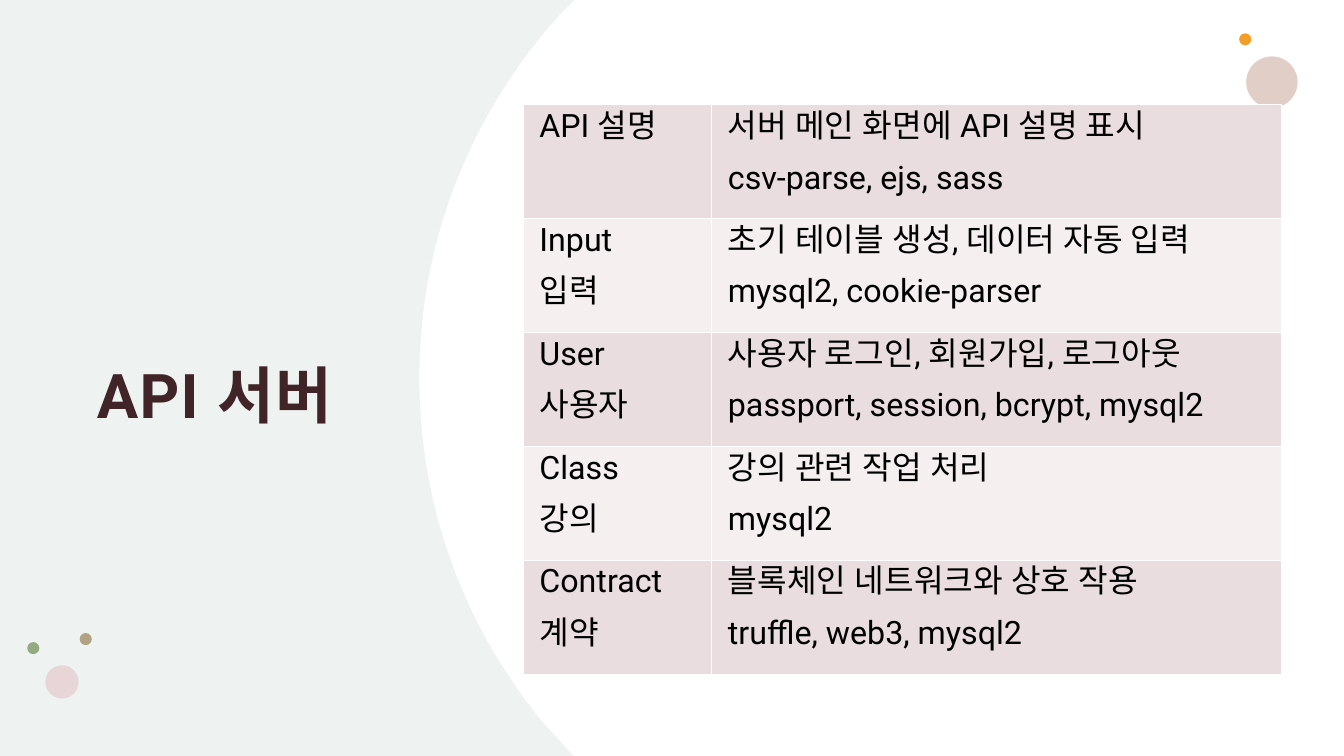
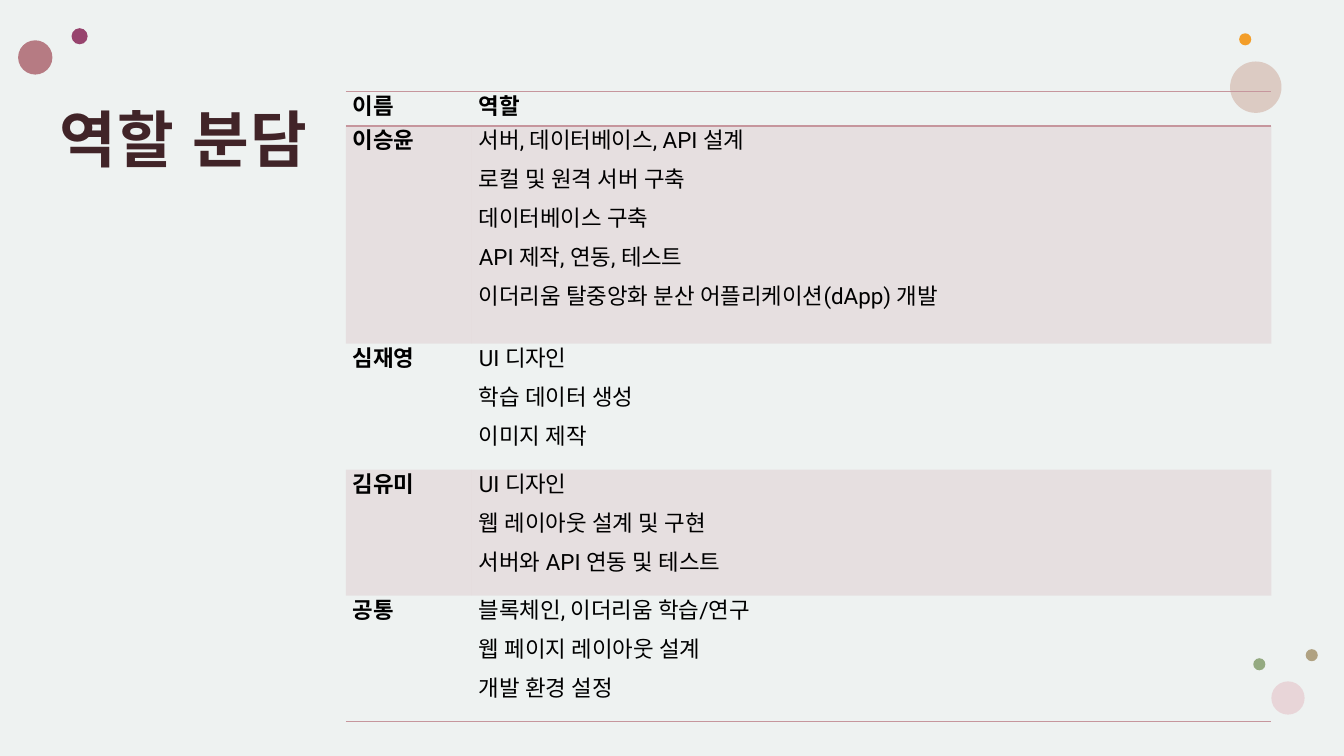
from lxml.etree import SubElement
from pptx import Presentation
from pptx.dml.color import RGBColor
from pptx.enum.shapes import MSO_SHAPE
from pptx.enum.text import MSO_ANCHOR, PP_ALIGN
from pptx.oxml import parse_xml
from pptx.oxml.ns import nsdecls, qn
from pptx.util import Pt

PX = 9144
WIDTH, HEIGHT = 1333, 750
FONT = "Roboto"

WHITE = RGBColor(0xFF, 0xFF, 0xFF)
BLACK = RGBColor(0x00, 0x00, 0x00)
SAGE = RGBColor(0xC8, 0xD4, 0xD2)
MAROON = RGBColor(0x41, 0x24, 0x28)
ROSE = RGBColor(0xC6, 0x96, 0x9D)
ROW_DARK = RGBColor(0xEA, 0xDD, 0xDF)
ROW_LIGHT = RGBColor(0xF5, 0xEF, 0xEF)
BEIGE = RGBColor(0xD6, 0xBC, 0xB2)
ORANGE = RGBColor(0xF3, 0x9E, 0x29)
TAN = RGBColor(0xB0, 0xA2, 0x82)
PINK = RGBColor(0xE8, 0xD5, 0xD8)
GREEN = RGBColor(0x94, 0xAA, 0x81)
PLUM = RGBColor(0x97, 0x44, 0x6E)
DUSTY_ROSE = RGBColor(0xB6, 0x7B, 0x83)

TITLE_FRAME = {
    "word_wrap": True,
    "margin_left": 12 * PX,
    "margin_right": 12 * PX,
    "margin_top": 12 * PX,
    "margin_bottom": 10 * PX,
}
CELL_PARAGRAPH = {"line_spacing": 1.07, "space_after": Pt(8)}

PANEL_CORNERS = [(WIDTH, 0), (WIDTH, HEIGHT), (569, HEIGHT), (539, 717)]
PANEL_CURVES = [
    (462, 624), (416, 505), (416, 375),
    (416, 236), (469, 110), (556, 14),
]

API_ROWS = [
    (["API 설명"], ["서버 메인 화면에 API 설명 표시", "csv-parse, ejs, sass"]),
    (["Input", "입력"], ["초기 테이블 생성, 데이터 자동 입력", "mysql2, cookie-parser"]),
    (["User", "사용자"], ["사용자 로그인, 회원가입, 로그아웃", "passport, session, bcrypt, mysql2"]),
    (["Class", "강의"], ["강의 관련 작업 처리", "mysql2"]),
    (["Contract", "계약"], ["블록체인 네트워크와 상호 작용", "truffle, web3, mysql2"]),
]
ROLE_ROWS = [
    (["이름"], ["역할"]),
    (["이승윤"], [
        "서버, 데이터베이스, API 설계",
        "로컬 및 원격 서버 구축",
        "데이터베이스 구축",
        "API 제작, 연동, 테스트",
        "이더리움 탈중앙화 분산 어플리케이션(dApp) 개발",
    ]),
    (["심재영"], ["UI 디자인", "학습 데이터 생성", "이미지 제작"]),
    (["김유미"], ["UI 디자인", "웹 레이아웃 설계 및 구현", "서버와 API 연동 및 테스트"]),
    (["공통"], ["블록체인, 이더리움 학습/연구", "웹 페이지 레이아웃 설계", "개발 환경 설정"]),
]


def apply_format(target, values):
    for name, value in values.items():
        setattr(target, name, value)


def set_fill(fill, color):
    fill.solid()
    fill.fore_color.rgb = color


def set_opacity(properties, percent):
    color = properties.find(qn("a:solidFill")).find(qn("a:srgbClr"))
    SubElement(color, qn("a:alpha")).set("val", str(percent * 1000))


def finish_shape(shape, color):
    set_fill(shape.fill, color)
    shape.line.fill.background()
    shape.shadow.inherit = False


def format_run(run, size, bold, color):
    apply_format(run.font, {"name": FONT, "size": Pt(size), "bold": bold})
    run.font.color.rgb = color
    SubElement(run._r.get_or_add_rPr(), qn("a:ea")).set("typeface", FONT)


def add_preset(slide, preset, left, top, width, height, color, opacity=100):
    box = [value * PX for value in (left, top, width, height)]
    shape = slide.shapes.add_shape(preset, *box)
    finish_shape(shape, color)
    if opacity < 100:
        set_opacity(shape._element.spPr, opacity)


def add_slide(presentation):
    slide = presentation.slides.add_slide(presentation.slide_layouts[6])
    set_fill(slide.background.fill, WHITE)
    add_preset(slide, MSO_SHAPE.RECTANGLE, 0, 0, WIDTH, HEIGHT, SAGE, 30)
    return slide


def add_dot(slide, left, top, size, color, opacity=100):
    add_preset(slide, MSO_SHAPE.OVAL, left, top, size, size, color, opacity)


def add_corner_dots(slide, beige_left, beige_top, cluster_left, cluster_top):
    add_dot(slide, beige_left, beige_top, 51, BEIGE, 72)
    add_dot(slide, 1229, 33, 12, ORANGE)
    add_dot(slide, cluster_left + 52, cluster_top, 12, TAN)
    add_dot(slide, cluster_left + 18, cluster_top + 32, 33, PINK)
    add_dot(slide, cluster_left, cluster_top + 9, 12, GREEN)


def bend_segments(segments):
    for start in range(0, len(segments), 3):
        curve, *others = segments[start:start + 3]
        curve.tag = qn("a:cubicBezTo")
        for other in others:
            curve.append(other[0])
            other.getparent().remove(other)


def add_curved_panel(slide):
    builder = slide.shapes.build_freeform(570, 0, scale=PX)
    builder.add_line_segments(PANEL_CORNERS + PANEL_CURVES, close=True)
    panel = builder.convert_to_shape()
    finish_shape(panel, WHITE)
    segments = list(panel._element.spPr.iter(qn("a:lnTo")))
    first = len(PANEL_CORNERS)
    bend_segments(segments[first:first + len(PANEL_CURVES)])


def add_title(slide, text, left, top, width, height, anchor):
    box = [value * PX for value in (left, top, width, height)]
    frame = slide.shapes.add_textbox(*box).text_frame
    apply_format(frame, TITLE_FRAME | {"vertical_anchor": anchor})
    paragraph = frame.paragraphs[0]
    paragraph.line_spacing = 1.1
    run = paragraph.add_run()
    run.text = text
    format_run(run, 44, True, MAROON)
    run._r.get_or_add_rPr().set("spc", "100")


def set_borders(cell, colors):
    properties = cell._tc.get_or_add_tcPr()
    for index, (side, color) in enumerate(zip("LRTB", colors)):
        paint = "<a:noFill/>"
        if color is not None:
            paint = f'<a:solidFill><a:srgbClr val="{color}"/></a:solidFill>'
        border = parse_xml(
            f'<a:ln{side} {nsdecls("a")} w="{Pt(1)}">{paint}</a:ln{side}>'
        )
        properties.insert(index, border)


def fill_cell(cell, lines, margin, size, bold, alignment):
    apply_format(cell, {
        "margin_left": margin * PX,
        "margin_right": margin * PX,
        "margin_top": 0,
        "margin_bottom": 0,
    })
    cell.text = "\n".join(lines)
    for paragraph in cell.text_frame.paragraphs:
        apply_format(paragraph, CELL_PARAGRAPH | {"alignment": alignment})
        format_run(paragraph.runs[0], size, bold, BLACK)


def add_table(slide, rows, left, top, widths, heights):
    box = [value * PX for value in (left, top, sum(widths), sum(heights))]
    table = slide.shapes.add_table(len(rows), len(widths), *box).table
    apply_format(table, {"first_row": False, "horz_banding": False})
    for column, width in zip(table.columns, widths):
        column.width = width * PX
    for row, height in zip(table.rows, heights):
        row.height = height * PX
    return table


def add_api_table(slide):
    table = add_table(slide, API_ROWS, 519, 104, [187, 565], [113] * len(API_ROWS))
    for index, row in enumerate(API_ROWS):
        for column, lines in enumerate(row):
            cell = table.cell(index, column)
            set_fill(cell.fill, ROW_LIGHT if index % 2 else ROW_DARK)
            set_borders(cell, [WHITE] * 4)
            fill_cell(cell, lines, 16, 23, False, PP_ALIGN.JUSTIFY)


def add_role_table(slide):
    table = add_table(slide, ROLE_ROWS, 343, 91, [125, 793], [34, 216, 125, 125, 125])
    ruled_edges = {0, 1, len(ROLE_ROWS)}
    for index, row in enumerate(ROLE_ROWS):
        rules = [ROSE if edge in ruled_edges else None for edge in (index, index + 1)]
        for column, lines in enumerate(row):
            cell = table.cell(index, column)
            if index % 2:
                set_fill(cell.fill, ROSE)
                set_opacity(cell._tc.tcPr, 20)
            else:
                cell.fill.background()
            set_borders(cell, [None, None, *rules])
            fill_cell(cell, lines, 7, 16, index == 0 or column == 0, PP_ALIGN.LEFT)


def build_api_slide(presentation):
    slide = add_slide(presentation)
    add_curved_panel(slide)
    add_corner_dots(slide, 1236, 56, 27, 628)
    add_title(slide, "API 서버", 84, 104, 313, 564, MSO_ANCHOR.MIDDLE)
    add_api_table(slide)


def build_role_slide(presentation):
    slide = add_slide(presentation)
    add_dot(slide, 71, 28, 16, PLUM)
    add_corner_dots(slide, 1220, 61, 1243, 644)
    add_dot(slide, 18, 40, 34, DUSTY_ROSE)
    add_title(slide, "역할 분담", 47, 81, 1178, 197, MSO_ANCHOR.TOP)
    add_role_table(slide)


def main():
    presentation = Presentation()
    apply_format(presentation, {"slide_width": WIDTH * PX, "slide_height": HEIGHT * PX})
    build_api_slide(presentation)
    build_role_slide(presentation)
    presentation.save("out.pptx")


if __name__ == "__main__":
    main()
